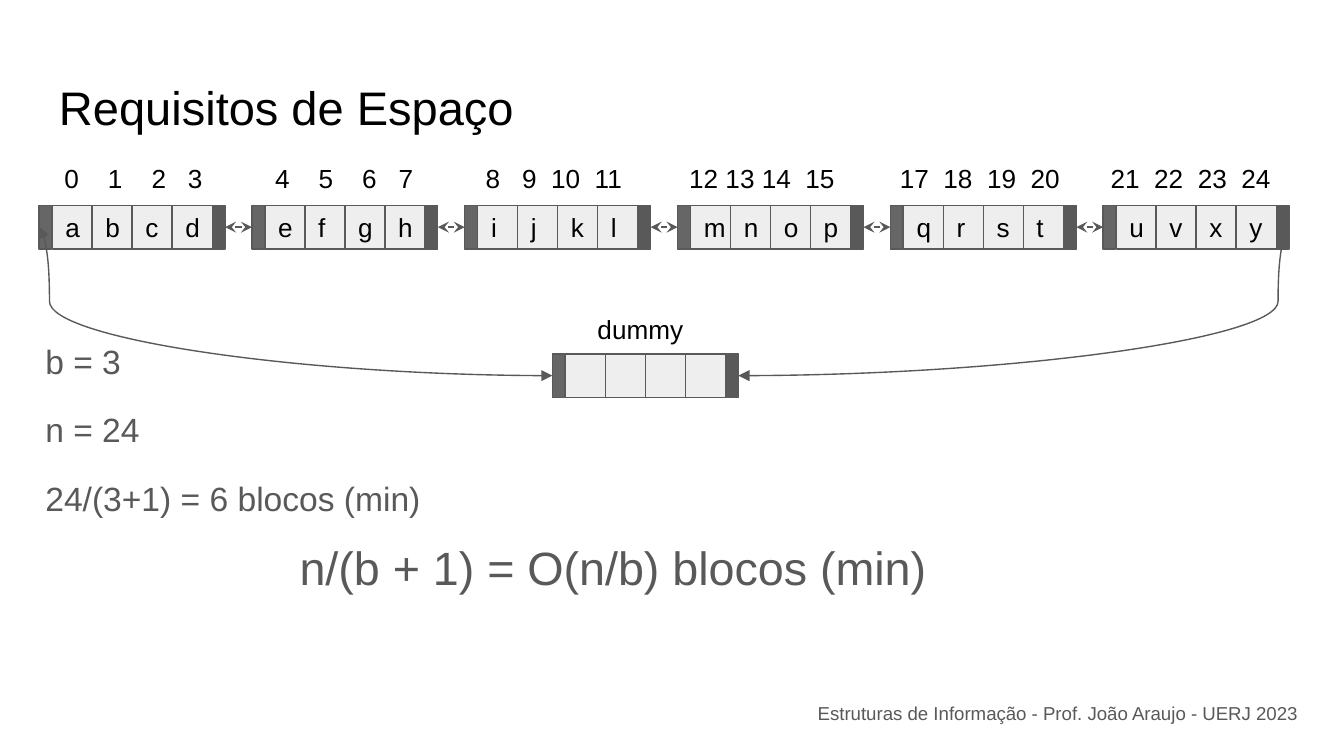
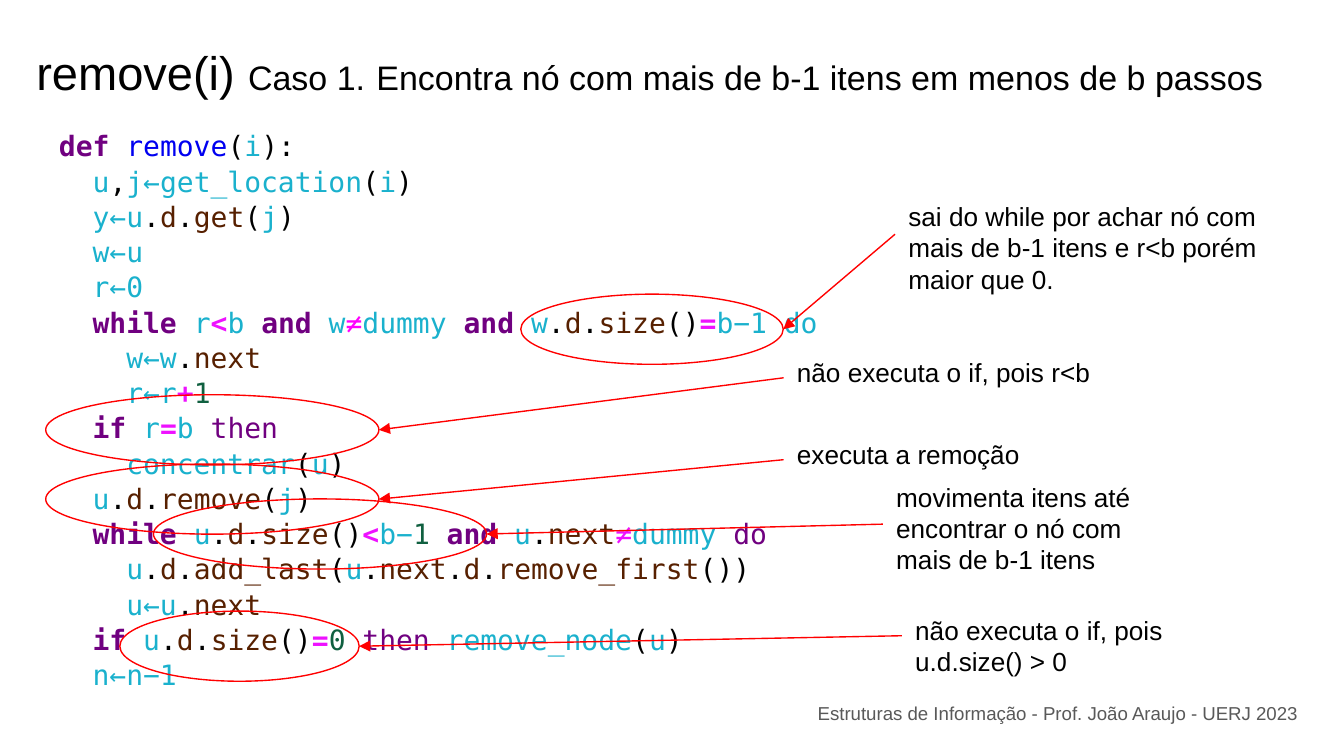
from lxml.etree import SubElement as Sub
from pptx import Presentation
from pptx.dml.color import RGBColor
from pptx.enum.shapes import MSO_CONNECTOR as Conn, MSO_SHAPE as Kind
from pptx.enum.text import MSO_ANCHOR as Anchor, PP_ALIGN as Align
from pptx.oxml.ns import qn
from pptx.util import Pt

# Shared style
BLACK, GREY, CAP, PALE, RED = "000000", "595959", "666666", "EEEEEE", "FF0000"
SANS, MONO = "Arial", "DejaVu Sans Mono"
HEAD, BODY, NOTE = 25.2, 18, 14
FOOT = "Estruturas de Informação - Prof. João Araujo - UERJ 2023"

# Code styles: letter -> colour, bold
CODE = {
    "K": ("700080", True), "k": ("700080", False), "F": ("0000F0", False),
    "P": (BLACK, False), "V": ("1AB1CD", False), "A": ("572000", False),
    "O": ("EE11FF", True), "o": ("EE11FF", False), "m": ("FF00FF", False),
    "N": ("106040", False),
}


def rgb(text):
    return RGBColor.from_string(text)


def apply(item, form):
    for name, value in form.items():
        setattr(item, name, value)


class Deck:
    def __init__(self):
        self.prs = Presentation()
        apply(self.prs, {"slide_width": Pt(720), "slide_height": Pt(405)})
        self.slide = None

    def start(self, runs, *box):
        """New slide with footer and title."""
        self.slide = self.prs.slides.add_slide(self.prs.slide_layouts[6])
        foot = self.text((406, 370, 296, 21.6), FOOT, 10, GREY)
        foot.paragraphs[0].alignment = Align.RIGHT
        para = self.text(box).paragraphs[0]
        for text, size in runs:
            self.run(para, text, size)

    def run(self, para, text, size=NOTE, color=BLACK, face=SANS, bold=False):
        run = para.add_run()
        run.text = text
        apply(run.font, {"size": Pt(size), "name": face, "bold": bold})
        run.font.color.rgb = rgb(color)

    def frame(self, shape, anchor=Anchor.TOP):
        form = {"word_wrap": True, "vertical_anchor": anchor}
        for side in ("left", "right", "top", "bottom"):
            form["margin_" + side] = Pt(7.2)
        apply(shape.text_frame, form)
        return shape.text_frame

    def text(self, box, lines="", size=NOTE, color=BLACK, **form):
        """Text box; each line of text is a paragraph."""
        frame = self.frame(self.slide.shapes.add_textbox(*map(Pt, box)))
        for i, line in enumerate(lines.split("\n")):
            para = frame.add_paragraph() if i else frame.paragraphs[0]
            if line:
                self.run(para, line, size, color)
            apply(para, form)
            if i:
                para.space_before = Pt(12)
        return frame

    def shape(self, kind, box, fill=None, line=GREY, text=""):
        shape = self.slide.shapes.add_shape(kind, *map(Pt, box))
        shape.shadow.inherit = False
        if fill:
            shape.fill.solid()
            shape.fill.fore_color.rgb = rgb(fill)
        else:
            shape.fill.background()
        shape.line.color.rgb = rgb(line)
        shape.line.width = Pt(0.75)
        if text:
            para = self.frame(shape, Anchor.MIDDLE).paragraphs[0]
            para.alignment = Align.LEFT
            self.run(para, text)

    def link(self, start, end, color=GREY, head=None, tail="triangle", bend=None):
        """Arrow, curved when bend is given."""
        kind = Conn.CURVE if bend else Conn.STRAIGHT
        link = self.slide.shapes.add_connector(kind, *map(Pt, start + end))
        link.line.color.rgb = rgb(color)
        link.line.width = Pt(0.75)
        props = link.element.spPr
        edge = props.find(qn("a:ln"))
        for tag, mark in (("a:headEnd", head), ("a:tailEnd", tail)):
            if mark:
                Sub(edge, qn(tag), type=mark)
        Sub(props, qn("a:effectLst"))
        if bend:
            geom = props.find(qn("a:prstGeom"))
            vals = geom.find(qn("a:avLst"))
            if vals is None:
                vals = Sub(geom, qn("a:avLst"))
            Sub(vals, qn("a:gd"), name="adj1", fmla=f"val {round(bend * 100000)}")

    def block(self, left, top, chars):
        """Node of four cells between two caps."""
        for i, char in enumerate(chars):
            cell = (left + 7 + 21.4 * i, top, 21.6, HIGH)
            self.shape(Kind.RECTANGLE, cell, PALE, text=char.strip())
        for x, fill in ((left, CAP), (left + 92.8, GREY)):
            self.shape(Kind.RECTANGLE, (x, top, 6.8, HIGH), fill)

    def tabs(self, para, stops):
        tabs = Sub(para._p.get_or_add_pPr(), qn("a:tabLst"))
        for stop in stops:
            Sub(tabs, qn("a:tab"), pos=str(int(Pt(stop))), algn="l")

    def code(self, box, lines):
        para = self.text(box).paragraphs[0]
        apply(para, {"line_spacing": 1.05, "space_after": Pt(12)})
        for i, line in enumerate(lines):
            if i:
                para.add_line_break()
            for part in line.split("~"):
                color, bold = CODE[part[0]]
                self.run(para, part[1:], 15, color, MONO, bold)

    def note(self, text, box, oval):
        """Remark with an arrow to the oval it explains."""
        self.text(box, text)
        self.shape(Kind.OVAL, oval, line=RED)
        x, y, _, h = box
        left, top, wide, high = oval
        self.link((x, y + h / 2), (left + wide, top + high / 2), RED)


deck = Deck()

# Slide 1: space needs
LEFT, TOP, STEP, WIDE, HIGH = 21, 110, 114, 99.6, 23.4
MID = TOP + HIGH / 2
deck.start([("Requisitos de Espaço", HEAD)], 24.5, 35, 671, 45)
deck.text((17.2, 172, 655, 128), "b = 3\nn = 24\n24/(3+1) = 6 blocos (min)",
          BODY, GREY, line_spacing=1.15)
deck.text((153.4, 277, 366.5, 79), "n/(b + 1) = O(n/b) blocos (min)",
          25, GREY, line_spacing=1.15)

# Linked blocks
for i, chars in enumerate(("abcd", "efgh", "ijkl", "mnop", "qrst", "uvxy")):
    x = LEFT + STEP * i
    deck.block(x, TOP, chars)
    if i:
        deck.link((x - STEP + WIDE, MID), (x, MID), head="stealth", tail="stealth")

# Index row: each tab stop follows from digit count and gap units
names = [str(n) for n in range(25) if n != 16]
gaps = [4, 4, 3, 10, 4, 4, 3, 10, 3, 2, 2, 9, 1, 1, 2, 9, 2, 2, 2, 7, 2, 2, 2]
stops, pos = [], 0
for name, gap in zip(names, gaps):
    pos += 7.79 * len(name) + 3.89 * gap
    stops.append(pos)
row = deck.text((27.4, 80, 680, 31.7)).paragraphs[0]
deck.tabs(row, stops)
deck.run(row, "\t".join(names))

# Dummy node closing the ring
hub, low = 296, 189.6
deck.block(hub, low, "    ")
for start, end, bend in ((hub, LEFT, 0.98), (hub + WIDE, LEFT + 5 * STEP + WIDE, 0.98)):
    deck.link((start, low + HIGH / 2), (end, MID), head="triangle", bend=bend)
deck.text((313, 160.5, 96, 31.7), "dummy")

# Slide 2: remove, case 1
deck.start([("remove(i) ", HEAD), ("Caso 1.", 18.2), (" ", 21.2),
            ("Encontra nó com mais de b-1 itens em menos de b passos", 18.2)],
           12.4, 16, 695, 45)
deck.code((24.5, 61, 436, 328), [
    "Kdef ~Fremove~P(~Vi~P):",
    "V  u~P,~Vj←get_location~P(~Vi~P)",
    "V  y←u~P.~Ad~P.~Aget~P(~Vj~P)",
    "V  w←u",
    "V  r←0",
    "K  while ~Vr~O<~Vb ~Kand ~Vw~m≠~Vdummy ~Kand ~Vw~P.~Ad~P.~Asize~P()~O=~Vb−1 do",
    "V    w←w~P.~Anext",
    "V    r←r~O+~N1",
    "K  if ~Vr~O=~Vb ~kthen",
    "V    concentrar~P(~Vu~P)",
    "V  u~P.~Ad~P.~Aremove~P(~Vj~P)",
    "K  while ~Vu~P.~Ad~P.~Asize~P()~O<~Vb−~N1 ~Kand ~Vu~P.~Anext~o≠~Vdummy ~kdo",
    "V    u~P.~Ad~P.~Aadd_last~P(~Vu~P.~Anext~P.~Ad~P.~Aremove_first~P())",
    "V    u←u~P.~Anext",
    "K  if ~Vu~P.~Ad~P.~Asize~P()~O=~N0 ~kthen ~Vremove_node~P(~Vu~P)",
    "V  n←n−1",
])

# Remarks: text, text box, oval
OVAL = 37.6
for note in (
    ("sai do while por achar nó com mais de b-1 itens e r<b porém maior que 0.",
     (479.5, 100, 220, 51), (279, 157.6, 140.6, OVAL)),
    ("não executa o if, pois r<b",
     (419.8, 183.6, 220, OVAL), (24.5, 211.5, 178.5, OVAL)),
    ("executa a remoção",
     (419.8, 227.5, 220, OVAL), (24.5, 248.6, 178.5, OVAL)),
    ("movimenta itens até encontrar o nó com mais de b-1 itens",
     (473, 250.5, 167, 60.6), (82.2, 267.3, 178.5, OVAL)),
    ("não executa o if, pois u.d.size() > 0",
     (483.2, 321.8, 167, OVAL), (64.2, 327.4, 128.2, OVAL)),
):
    deck.note(*note)

deck.prs.save("out.pptx")
